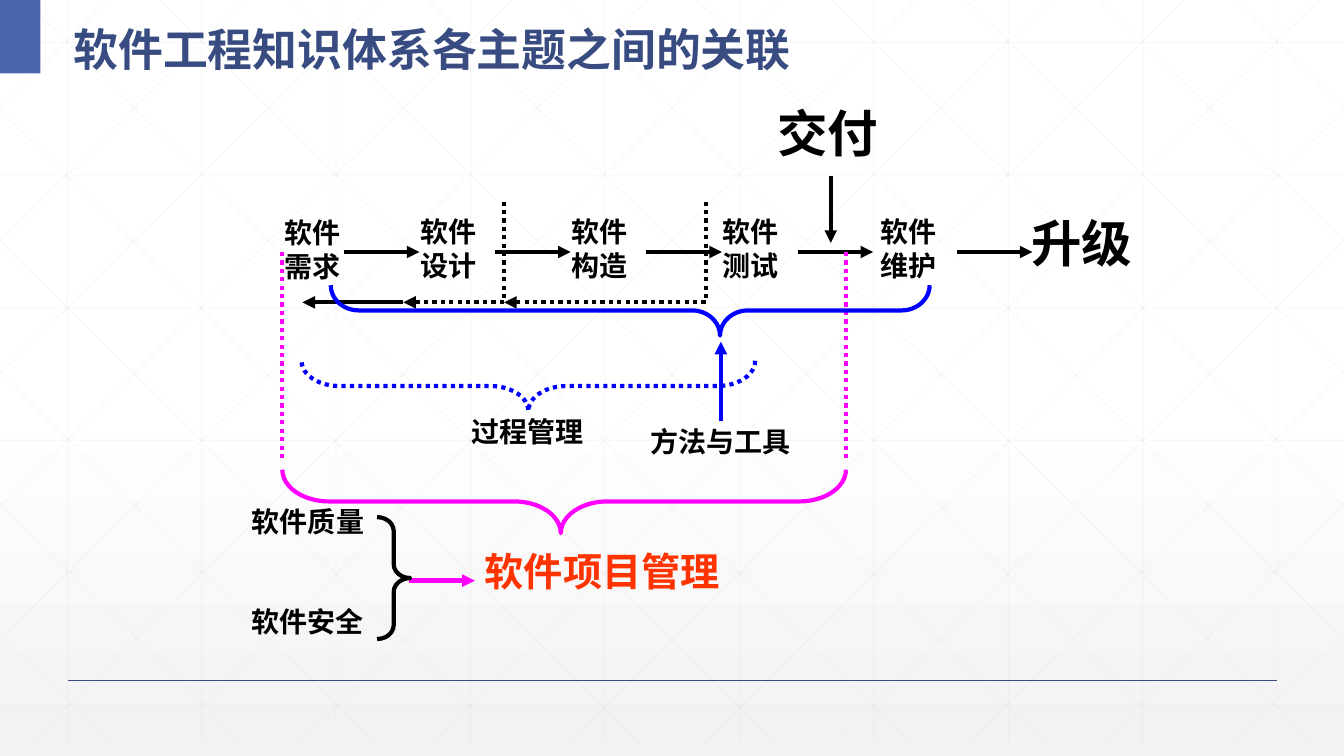
from dataclasses import dataclass

from lxml.etree import SubElement
from pptx import Presentation
from pptx.dml.color import RGBColor
from pptx.dml.line import LineFormat
from pptx.enum.dml import MSO_LINE as Dash
from pptx.enum.shapes import MSO_CONNECTOR as Link, MSO_SHAPE as Kind
from pptx.enum.text import MSO_ANCHOR as Anchor
from pptx.oxml.ns import qn
from pptx.util import Inches, Pt

WIDE, HIGH = 13.33, 7.5
FONT = "Noto Sans CJK SC"
BLACK, BLUE, PINK, RED = "000000", "0000FF", "FF00FF", "FF3300"
NAVY, PALE = "384C81", "D9D9D9"
Point = tuple[float, float]


@dataclass
class Label:
    text: str
    left: float
    top: float
    width: float
    height: float
    size: float = 20
    color: str = BLACK
    inset: float = 0.05


@dataclass
class Pen:
    color: str = BLACK
    width: float = 3
    dotted: bool = False
    arrow: bool = False
    alpha: int = 100


@dataclass
class Stroke:
    start: Point
    end: Point
    pen: Pen


@dataclass
class Route:
    points: list[Point]
    pen: Pen


@dataclass
class Brace:
    left: float
    top: float
    width: float
    height: float
    curl: float
    tip: float
    pen: Pen
    turn: float = 90


def rgb(code: str) -> RGBColor:
    return RGBColor.from_string(code)


def ink(line: LineFormat, pen: Pen) -> None:
    """Apply a pen to a line, with its dots, opacity and arrowhead."""
    line.width = Pt(pen.width)
    line.color.rgb = rgb(pen.color)
    if pen.dotted:
        line.dash_style = Dash.ROUND_DOT
    node = line._get_or_add_ln()
    if pen.alpha < 100:
        tint = node.find(".//" + qn("a:srgbClr"))
        SubElement(tint, qn("a:alpha"), val=str(pen.alpha * 1000))
    if pen.arrow:
        SubElement(node, qn("a:tailEnd"), type="triangle")


def draw_stroke(shapes, item: Stroke) -> None:
    ends = [Inches(n) for n in (*item.start, *item.end)]
    link = shapes.add_connector(Link.STRAIGHT, *ends)
    ink(link.line, item.pen)
    SubElement(link._element.spPr, qn("a:effectLst"))


def draw_route(shapes, item: Route) -> None:
    first, *rest = item.points
    build = shapes.build_freeform(*first, scale=Inches(1))
    build.add_line_segments(rest, close=False)
    shape = build.convert_to_shape()
    shape.shadow.inherit = False
    shape.fill.background()
    ink(shape.line, item.pen)


def draw_brace(shapes, item: Brace) -> None:
    box = (item.left, item.top, item.width, item.height)
    shape = shapes.add_shape(Kind.RIGHT_BRACE, *map(Inches, box))
    shape.adjustments[0] = item.curl
    shape.adjustments[1] = item.tip
    shape.rotation = item.turn
    shape.shadow.inherit = False
    shape.fill.background()
    ink(shape.line, item.pen)


def draw_label(shapes, item: Label) -> None:
    box = (item.left, item.top, item.width, item.height)
    frame = shapes.add_textbox(*map(Inches, box)).text_frame
    frame.word_wrap = True
    frame.vertical_anchor = Anchor.TOP
    frame.margin_top = Inches(item.inset)
    frame.margin_bottom = 0
    para = frame.paragraphs[0]
    para.line_spacing = Pt(item.size * 1.2)
    run = para.add_run()
    run.text = item.text
    font = run.font
    font.name, font.size, font.bold = FONT, Pt(item.size), True
    font.color.rgb = rgb(item.color)
    SubElement(run._r.get_or_add_rPr(), qn("a:ea"), typeface=FONT)


def draw_grid(shapes) -> None:
    """Draw the faint mesh: uprights, levels and mirrored diagonals."""
    pen, base, step, rise = Pen(PALE, 0.5, alpha=25), 7.37, 4 / 3, 0.99
    pairs = [((x, 0), (x, base)) for x in (2 / 3 + step * i for i in range(10))]
    pairs += [((0, y), (WIDE, y)) for y in (0.42 + 1.316 * i for i in range(6))]
    slants = []
    for i in range(10):
        x = 0.25 + step * i
        drop = min(base, (WIDE - x) * rise)
        slants.append(((x, 0), (x + drop / rise, drop)))
    for i in range(5):
        y = 1.09 + 1.3 * i
        slants.append(((0, y), ((base - y) / rise, base)))
    pairs += slants
    pairs += [((WIDE - a, b), (WIDE - c, d)) for (a, b), (c, d) in slants]
    for start, end in pairs:
        draw_stroke(shapes, Stroke(start, end, pen))


ARROW = Pen(arrow=True)
DOTS = Pen(dotted=True, arrow=True)
EDGE = Pen(PINK, dotted=True)
FLOW = 2.5  # height of the main chain of arrows
BACK = 3.33  # height of the feedback arrows

LABELS = [
    Label("软件工程知识体系各主题之间的关联", 0.63, 0, 7.73, 0.73, 32, NAVY, 0.22),
    Label("软件需求", 2.72, 2.09, 0.94, 0.77),
    Label("软件设计", 4.07, 2.08, 0.94, 0.77),
    Label("软件构造", 5.57, 2.08, 1.02, 0.77),
    Label("软件测试", 7.07, 2.08, 1.02, 0.77),
    Label("软件维护", 8.63, 2.08, 1.02, 0.77),
    Label("过程管理", 4.58, 4.06, 1.34, 0.43),
    Label("方法与工具", 6.35, 4.16, 1.93, 0.44),
    Label("软件质量", 2.4, 4.96, 1.41, 0.43),
    Label("软件安全", 2.4, 5.95, 1.34, 0.43),
    Label("软件项目管理", 4.71, 5.38, 2.97, 0.56, 28, RED),
    Label("交付", 7.61, 0.96, 1.25, 0.68, 36),
    Label("升级", 10.13, 2.06, 1.27, 0.68, 36),
]
ROUTES = [
    Route([(3.74, 2.77), (3.74, BACK), (3.2, BACK), (3.2, 2.88)], ARROW),
    *(Route([(x, FLOW), (x, BACK), (x - 1.5, BACK)], DOTS) for x in (5.24, 6.74)),
]
STROKES = [
    *(Stroke((x, FLOW), (x + 0.75, FLOW), ARROW)
      for x in (3.41, 4.91, 6.41, 7.91, 9.49)),
    Stroke((8.24, 1.75), (8.24, 2.41), ARROW),
    Stroke((7.15, 4.18), (7.15, 3.39), Pen(BLUE, arrow=True)),
    *(Stroke((x, FLOW), (x, 4.58), EDGE) for x in (2.8, 8.39)),
    Stroke((4.06, 5.76), (4.71, 5.76), Pen(PINK, arrow=True)),
]
BRACES = [
    Brace(6, 0.11, 0.5, 5.94, 0.556, 0.35, Pen(BLUE)),
    Brace(4.99, 1.58, 0.5, 4.5, 0.75, 0.5, Pen(BLUE, dotted=True)),
    Brace(3.74, 5.13, 0.33, 1.21, 0.417, 0.5, Pen(), 0),
    Brace(5.28, 2.18, 0.63, 5.59, 0.735, 0.506, Pen(PINK)),
]


def main() -> None:
    deck = Presentation()
    deck.slide_width, deck.slide_height = Inches(WIDE), Inches(HIGH)
    slide = deck.slides.add_slide(deck.slide_layouts[6])
    shapes = slide.shapes

    fill = slide.background.fill
    fill.gradient()
    fill.gradient_angle = 270
    for stop, (spot, code) in zip(fill.gradient_stops, [(0.53, "FFFFFF"), (1, "F2F2F2")]):
        stop.position, stop.color.rgb = spot, rgb(code)

    draw_grid(shapes)
    draw_stroke(shapes, Stroke((0.67, 6.75), (12.67, 6.75), Pen(NAVY, 1)))
    block = shapes.add_shape(Kind.RECTANGLE, 0, 0, Inches(0.4), Inches(0.73))
    block.shadow.inherit = False
    block.fill.solid()
    block.fill.fore_color.rgb = rgb("4A66AC")
    block.line.fill.background()

    for draw, items in ((draw_label, LABELS), (draw_route, ROUTES),
                        (draw_stroke, STROKES), (draw_brace, BRACES)):
        for item in items:
            draw(shapes, item)
    deck.save("out.pptx")


if __name__ == "__main__":
    main()
